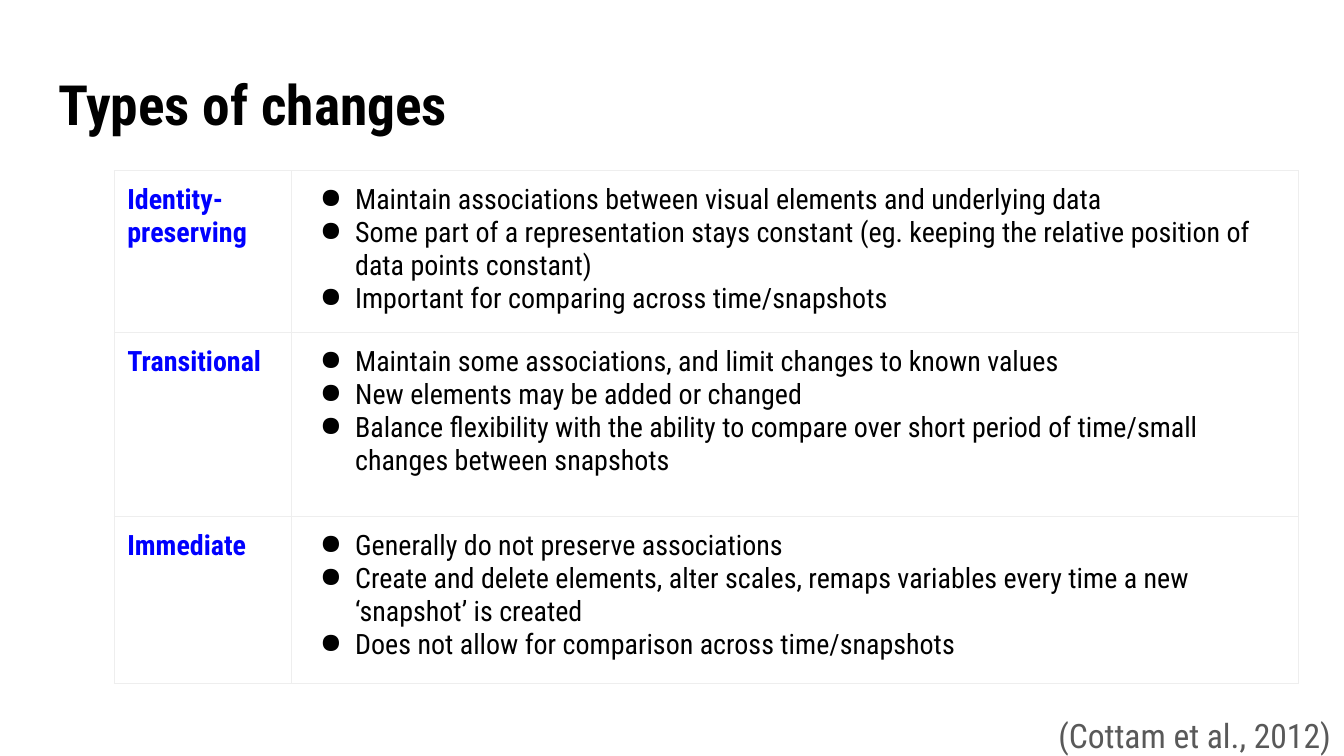
from lxml.etree import SubElement
from pptx import Presentation
from pptx.dml.color import RGBColor
from pptx.enum.text import MSO_ANCHOR
from pptx.oxml import parse_xml
from pptx.oxml.ns import nsdecls, qn
from pptx.util import Cm, Pt

FONT = "Roboto Condensed"
INSET = Cm(0.33)
BLACK, BLUE, GREY, BORDER = "000000", "0000FF", "595959", "EEEEEE"
COLUMN_WIDTHS = [4.47, 25.37]
ROW_HEIGHTS = [4.07, 4.65, 4.19]
CHANGE_TYPES = [
    ("Identity-preserving", [
        "Maintain associations between visual elements and underlying data",
        "Some part of a representation stays constant (eg. keeping the relative position of data points constant)",
        "Important for comparing across time/snapshots",
    ]),
    ("Transitional", [
        "Maintain some associations, and limit changes to known values",
        "New elements may be added or changed",
        "Balance flexibility with the ability to compare over short period of time/small changes between snapshots",
    ]),
    ("Immediate", [
        "Generally do not preserve associations",
        "Create and delete elements, alter scales, remaps variables every time a new ‘snapshot’ is created",
        "Does not allow for comparison across time/snapshots",
    ]),
]


def color(hex_string):
    return RGBColor.from_string(hex_string)


def set_attributes(target, values):
    for name, value in values.items():
        setattr(target, name, value)


def set_insets(target):
    sides = ("left", "top", "right", "bottom")
    set_attributes(target, {f"margin_{side}": INSET for side in sides})


def write(paragraph, text, size, hex_color, bold=False):
    run = paragraph.add_run()
    run.text = text
    set_attributes(run.font, {"name": FONT, "size": Pt(size), "bold": bold})
    run.font.color.rgb = color(hex_color)


def place(shape, left, top, width, height):
    set_attributes(shape, {
        "left": Cm(left), "top": Cm(top),
        "width": Cm(width), "height": Cm(height),
    })


def add_title(slide, text):
    title = slide.shapes.title
    place(title, 1.14, 1.65, 31.55, 2.13)
    frame = title.text_frame
    set_insets(frame)
    set_attributes(frame, {"word_wrap": True, "vertical_anchor": MSO_ANCHOR.MIDDLE})
    paragraph = frame.paragraphs[0]
    set_attributes(paragraph, {"line_spacing": 0.9, "alignment": 1})
    write(paragraph, text, 39.6, BLACK, True)


def add_citation(slide, text):
    box = slide.shapes.add_textbox(Cm(26.34), Cm(17.17), Cm(9.32), Cm(2.24))
    frame = box.text_frame
    set_insets(frame)
    frame.word_wrap = True
    frame.paragraphs[0].line_spacing = 1.5
    write(frame.paragraphs[0], text, 24, GREY)


def add_bullet(paragraph):
    properties = paragraph._p.get_or_add_pPr()
    properties.set("marL", str(Cm(1.27)))
    properties.set("indent", str(-Cm(0.89)))
    SubElement(properties, qn("a:buChar"), char="●")


def format_cell(cell):
    set_insets(cell)
    cell.vertical_anchor = MSO_ANCHOR.TOP
    cell.fill.background()
    properties = cell._tc.get_or_add_tcPr()
    for index, side in enumerate("LRTB"):
        properties.insert(index, parse_xml(
            f'<a:ln{side} {nsdecls("a")} w="{Pt(0.75)}"><a:solidFill>'
            f'<a:srgbClr val="{BORDER}"/></a:solidFill></a:ln{side}>'
        ))


def add_change_table(slide):
    frame = slide.shapes.add_table(
        len(ROW_HEIGHTS), len(COLUMN_WIDTHS), Cm(2.88), Cm(4.3),
        Cm(sum(COLUMN_WIDTHS)), Cm(sum(ROW_HEIGHTS)),
    )
    table = frame.table
    set_attributes(table, {"first_row": False, "horz_banding": False})
    for column, width in zip(table.columns, COLUMN_WIDTHS):
        column.width = Cm(width)
    for row, height, (name, points) in zip(table.rows, ROW_HEIGHTS, CHANGE_TYPES):
        row.height = Cm(height)
        name_cell, points_cell = row.cells
        format_cell(name_cell)
        format_cell(points_cell)
        write(name_cell.text_frame.paragraphs[0], name, 20, BLUE, True)
        text_frame = points_cell.text_frame
        for index, point in enumerate(points):
            paragraph = text_frame.add_paragraph() if index else text_frame.paragraphs[0]
            add_bullet(paragraph)
            write(paragraph, point, 20, BLACK)


def main():
    presentation = Presentation()
    set_attributes(presentation, {"slide_width": Cm(33.87), "slide_height": Cm(19.05)})
    slide = presentation.slides.add_slide(presentation.slide_layouts[5])
    add_title(slide, "Types of changes")
    add_citation(slide, "(Cottam et al., 2012)")
    add_change_table(slide)
    presentation.save("out.pptx")


if __name__ == "__main__":
    main()
